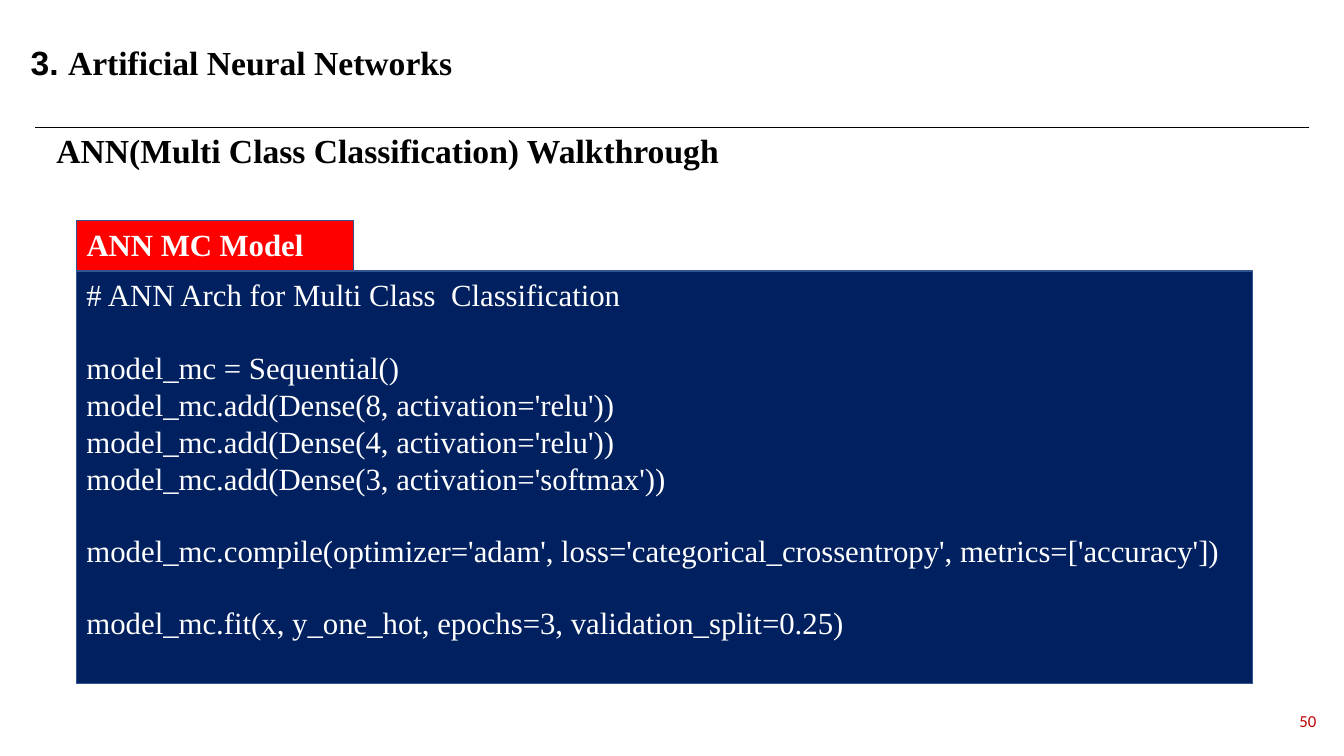
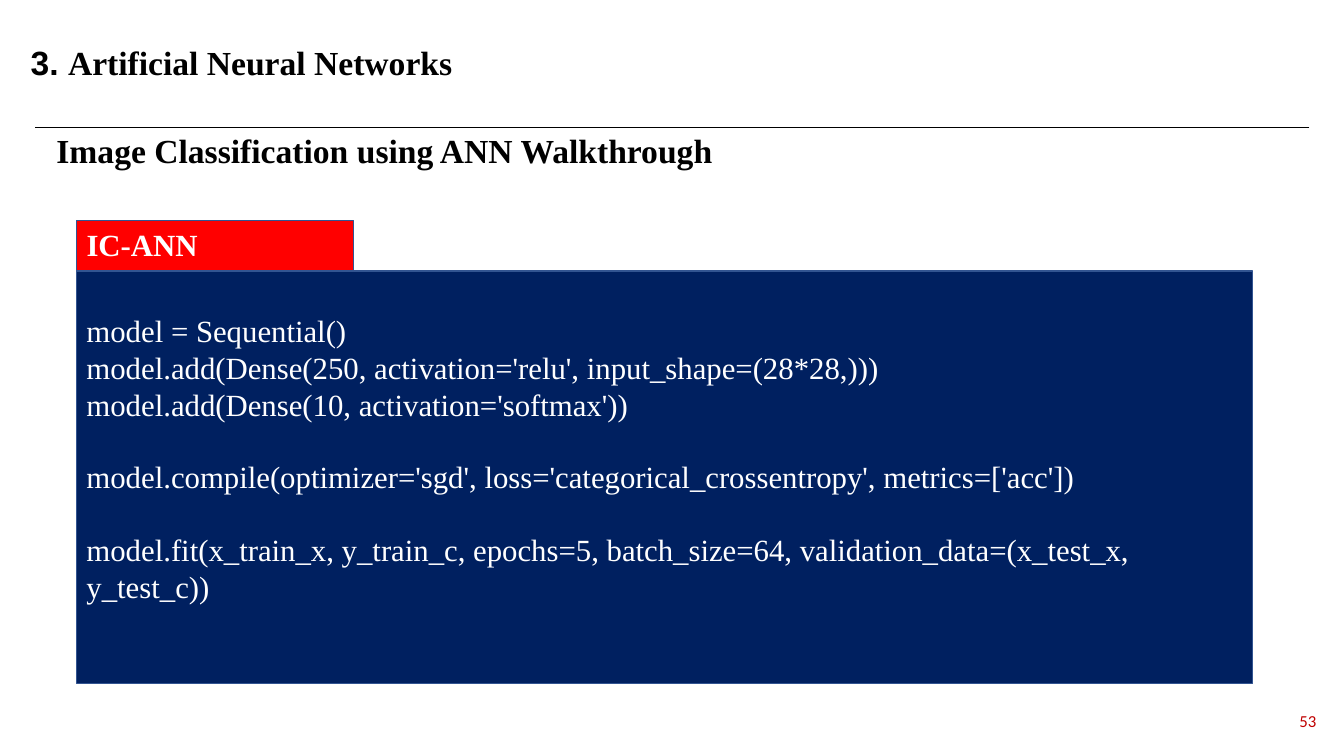
from lxml import etree
from pptx import Presentation
from pptx.dml.color import RGBColor
from pptx.enum.shapes import MSO_CONNECTOR, MSO_SHAPE
from pptx.enum.text import MSO_ANCHOR, MSO_AUTO_SIZE, PP_ALIGN
from pptx.oxml.ns import qn
from pptx.util import Pt

LEFT, RIGHT = PP_ALIGN.LEFT, PP_ALIGN.RIGHT
TOP, MIDDLE = MSO_ANCHOR.TOP, MSO_ANCHOR.MIDDLE
FIT, FIXED = MSO_AUTO_SIZE.SHAPE_TO_FIT_TEXT, MSO_AUTO_SIZE.NONE
RECT, LINE = MSO_SHAPE.RECTANGLE, MSO_CONNECTOR.STRAIGHT

# Content: code is a list of blocks, each a list of lines
HEAD = [("3. ", "Arial"), ("Artificial Neural Networks", "Times New Roman")]
SLIDES = [
    {
        "topic": "ANN(Multi Class Classification) Walkthrough",
        "tag": "ANN MC Model",
        "page": "50",
        "lead": 0,
        "code": [
            ["# ANN Arch for Multi Class  Classification"],
            ["model_mc = Sequential()",
             "model_mc.add(Dense(8, activation='relu'))",
             "model_mc.add(Dense(4, activation='relu'))",
             "model_mc.add(Dense(3, activation='softmax'))"],
            ["model_mc.compile(optimizer='adam', "
             "loss='categorical_crossentropy', metrics=['accuracy'])"],
            ["model_mc.fit(x, y_one_hot, epochs=3, validation_split=0.25)"],
        ],
    },
    {
        "topic": "Image Classification using ANN Walkthrough",
        "tag": "IC-ANN",
        "page": "53",
        "lead": 1,
        "code": [
            ["model = Sequential()",
             "model.add(Dense(250, activation='relu', input_shape=(28*28,)))",
             "model.add(Dense(10, activation='softmax'))"],
            ["model.compile(optimizer='sgd', "
             "loss='categorical_crossentropy', metrics=['acc'])"],
            ["model.fit(x_train_x, y_train_c, epochs=5, batch_size=64, "
             "validation_data=(x_test_x, y_test_c))"],
        ],
    },
]

# Shared style, lengths in points
SERIF = "Times New Roman"
BLACK, WHITE, NAVY, RED = "000000", "FFFFFF", "002060", "FF0000"
EDGE, CRIMSON = "325491", "C00000"
PAD_X, PAD_Y = 7.2, 3.6
PITCH = 25.3  # line height of the code text
BOX_X, BOX_Y, BOX_W, BOX_H = 54.7, 193.7, 840.2, 294.5
TAG_W, TAG_H = 198, 36


def color(code):
    return RGBColor.from_string(code)


def place(shape, x, y, w, h):
    shape.left, shape.top, shape.width, shape.height = map(Pt, (x, y, w, h))


def frame(shape, x=PAD_X, y=PAD_Y, anchor=TOP, wrap=True, auto=FIXED):
    text = shape.text_frame
    text.margin_left, text.margin_right = Pt(x), Pt(PAD_X)
    text.margin_top, text.margin_bottom = Pt(y), Pt(PAD_Y)
    text.vertical_anchor, text.word_wrap = anchor, wrap
    text.auto_size = auto
    return text


def write(par, text, font=SERIF, size=22, ink=WHITE, bold=False,
          align=LEFT, gap=0):
    par.alignment, par.space_before = align, Pt(gap)
    run = par.add_run()
    run.text = text
    run.font.name, run.font.size, run.font.bold = font, Pt(size), bold
    run.font.color.rgb = color(ink)


def panel(slide, x, y, w, h, fill):
    shape = slide.shapes.add_shape(RECT, Pt(x), Pt(y), Pt(w), Pt(h))
    shape.shadow.inherit = False
    shape.fill.solid()
    shape.fill.fore_color.rgb = color(fill)
    shape.line.color.rgb = color(EDGE)
    shape.line.width = Pt(1)
    return shape


def header(slide, topic):
    title, body = slide.placeholders
    place(title, 14, 26, 319, 36)
    par = frame(title, x=PAD_X + 0.7, wrap=False, auto=FIT).paragraphs[0]
    for text, font in HEAD:
        write(par, text, font=font, size=24, ink=BLACK, bold=True)

    # Topic line, without the template's bullet
    place(body, 5, 89.3, 932, 36)
    par = frame(body, x=PAD_X + 28.1).paragraphs[0]
    write(par, topic, size=24, ink=BLACK, bold=True)
    props = par._p.get_or_add_pPr()
    props.set("marL", "0")
    props.set("indent", "0")
    etree.SubElement(props, qn("a:buNone"))

    # Rule under the title
    rule = slide.shapes.add_connector(LINE, Pt(935.3), Pt(91), Pt(24.8), Pt(91))
    rule.line.color.rgb = color(BLACK)
    rule.line.width = Pt(0.5)
    etree.SubElement(rule._element.spPr, qn("a:effectLst"))


def footer(slide, page):
    box = slide.shapes.add_textbox(Pt(906.5), Pt(500.4), Pt(41), Pt(28.8))
    par = frame(box, anchor=MIDDLE).paragraphs[0]
    write(par, page, font="Calibri", size=12, ink=CRIMSON, align=RIGHT)


def listing(slide, tag, code, lead):
    box = panel(slide, BOX_X, BOX_Y, BOX_W, BOX_H, NAVY)
    text = frame(box, y=PAD_Y + lead * PITCH)
    par = text.paragraphs[0]
    for b, block in enumerate(code):
        for n, line in enumerate(block):
            if b or n:
                par = text.add_paragraph()
            write(par, line, gap=PITCH if b and not n else 0)

    label = panel(slide, BOX_X, BOX_Y - TAG_H, TAG_W, TAG_H, RED)
    write(frame(label).paragraphs[0], tag, bold=True)


def main():
    deck = Presentation()
    deck.slide_width, deck.slide_height = Pt(960), Pt(540)
    for item in SLIDES:
        slide = deck.slides.add_slide(deck.slide_layouts[1])
        header(slide, item["topic"])
        listing(slide, item["tag"], item["code"], item["lead"])
        footer(slide, item["page"])
    deck.save("out.pptx")


if __name__ == "__main__":
    main()
